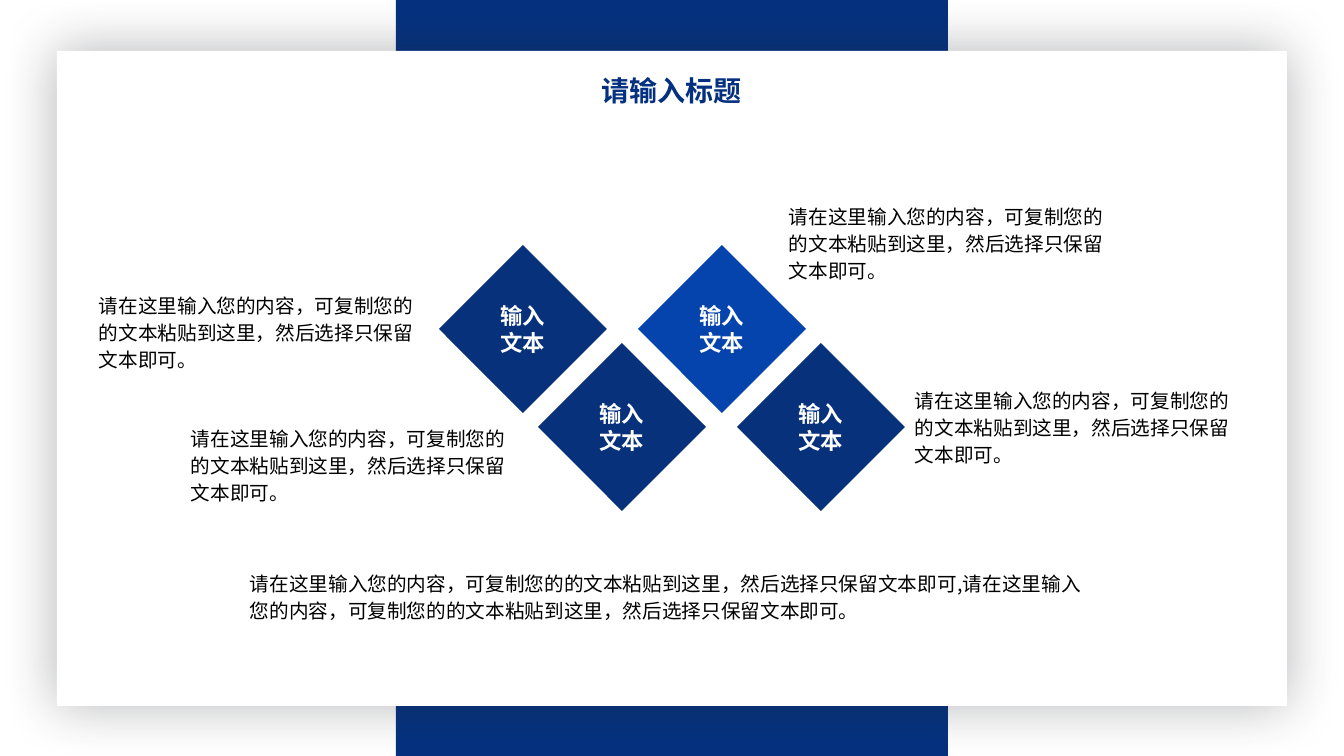
from lxml import etree
from pptx import Presentation
from pptx import util as u
from pptx.dml.color import RGBColor
from pptx.enum import shapes, text
from pptx.oxml import parse_xml
from pptx.oxml.ns import nsdecls, qn

PX = 12192000 / 1344
NAVY = RGBColor(0x04, 0x31, 0x7F)
DEEP_BLUE = RGBColor(0x07, 0x31, 0x7A)
BRIGHT_BLUE = RGBColor(0x05, 0x44, 0xAD)
WHITE = RGBColor(0xFF, 0xFF, 0xFF)
BLACK = RGBColor(0x00, 0x00, 0x00)
CJK_FONT = "Noto Sans CJK SC"
Kind = shapes.MSO_SHAPE


def add_block(parent, kind, rect, color):
    """Add a preset shape with a plain fill, no line and no shadow."""
    shape = parent.add_shape(kind, *(u.Emu(round(n * PX)) for n in rect))
    shape.shadow.inherit = False
    shape.fill.solid()
    shape.fill.fore_color.rgb = color
    shape.line.fill.background()
    return shape


def write(box, words, size, color, font="Calibri", bold=False, align=None, spacing=None):
    """Put one formatted paragraph into a shape or text box."""
    box.text_frame.word_wrap = True
    para = box.text_frame.paragraphs[0]
    para.text = words
    para.alignment = align
    para.line_spacing = spacing
    span = para.runs[0]
    span.font.size = u.Pt(size)
    span.font.bold = bold
    span.font.color.rgb = color
    span.font.name = font
    etree.SubElement(span.font._element, qn("a:ea")).set("typeface", CJK_FONT)


deck = Presentation()
deck.slide_width = u.Emu(round(1344 * PX))
deck.slide_height = u.Emu(round(756 * PX))
page = deck.slides.add_slide(deck.slide_layouts[6])

# Blue band behind a white card with a soft shadow
backdrop = page.shapes.add_group_shape()
add_block(backdrop.shapes, Kind.RECTANGLE, (396, 0, 552, 756), NAVY)
card = add_block(backdrop.shapes, Kind.RECTANGLE, (57, 51, 1230, 655), WHITE)
effects = card._element.spPr.find(qn("a:effectLst"))
effects.append(parse_xml(
    f'<a:outerShdw {nsdecls("a")} blurRad="{u.Pt(40)}" dist="0" dir="0" algn="ctr" '
    'rotWithShape="0"><a:srgbClr val="2A2C33"><a:alpha val="35000"/></a:srgbClr>'
    '</a:outerShdw>'))

title = page.shapes.add_textbox(*(u.Emu(round(n * PX)) for n in (515, 69, 314, 44)))
write(title, "请输入标题", 20, NAVY, bold=True, align=text.PP_ALIGN.CENTER)

# Two staggered rows of diamonds
for column, row, color in [(0, 0, DEEP_BLUE), (0, 1, DEEP_BLUE),
                           (1, 1, DEEP_BLUE), (1, 0, BRIGHT_BLUE)]:
    rect = (439 + 199 * column + 99 * row, 245 + 98 * row, 168, 168)
    diamond = add_block(page.shapes, Kind.DIAMOND, rect, color)
    diamond.text_frame.vertical_anchor = text.MSO_ANCHOR.MIDDLE
    write(diamond, "输入文本", 16, WHITE, bold=True, align=text.PP_ALIGN.CENTER)

# Descriptions around the diamonds and the summary below
sentence = "请在这里输入您的内容，可复制您的的文本粘贴到这里，然后选择只保留文本即可"
notes = [((left, top, 349, 92), sentence + "。")
         for left, top in [(779, 197), (905, 381), (89, 286), (181, 419)]]
notes.append(((240, 564, 863, 65), f"{sentence},{sentence}。"))
for rect, words in notes:
    box = page.shapes.add_textbox(*(u.Emu(round(n * PX)) for n in rect))
    write(box, words, 14, BLACK, font=CJK_FONT, spacing=1.14)

deck.save("out.pptx")
